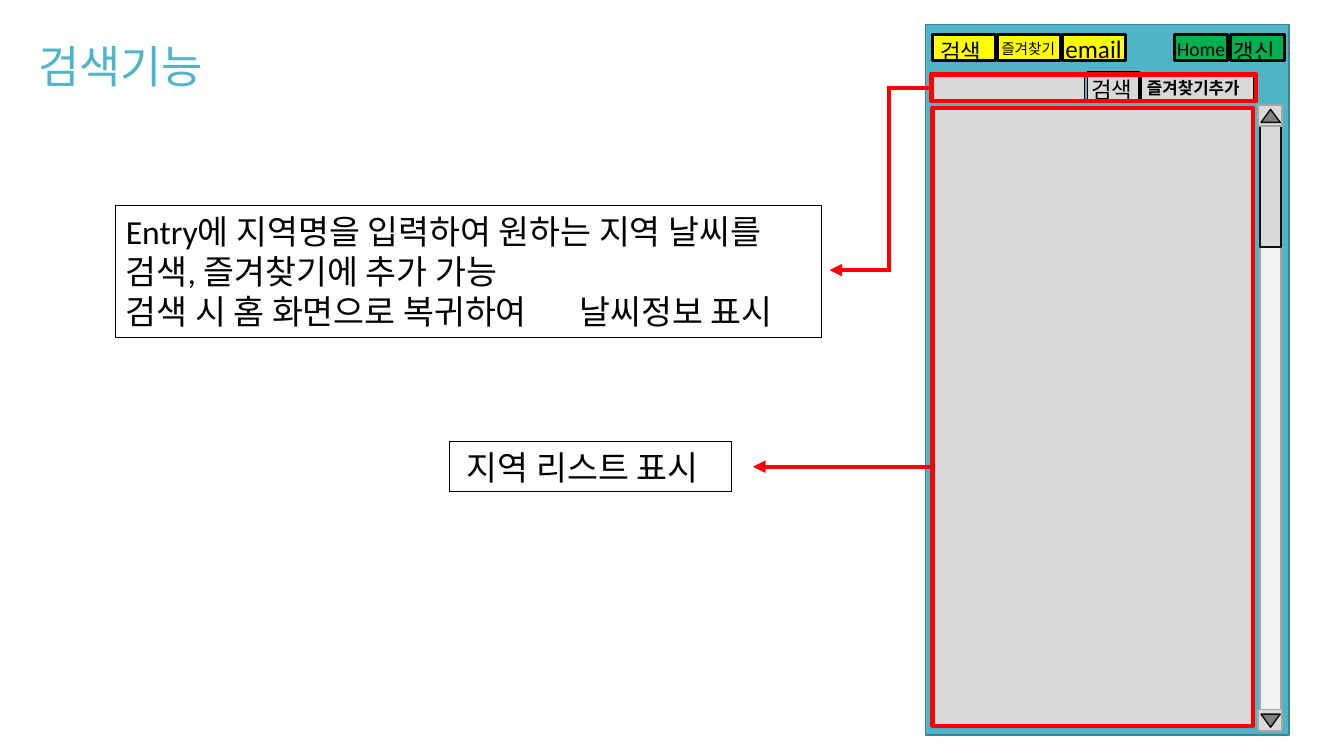
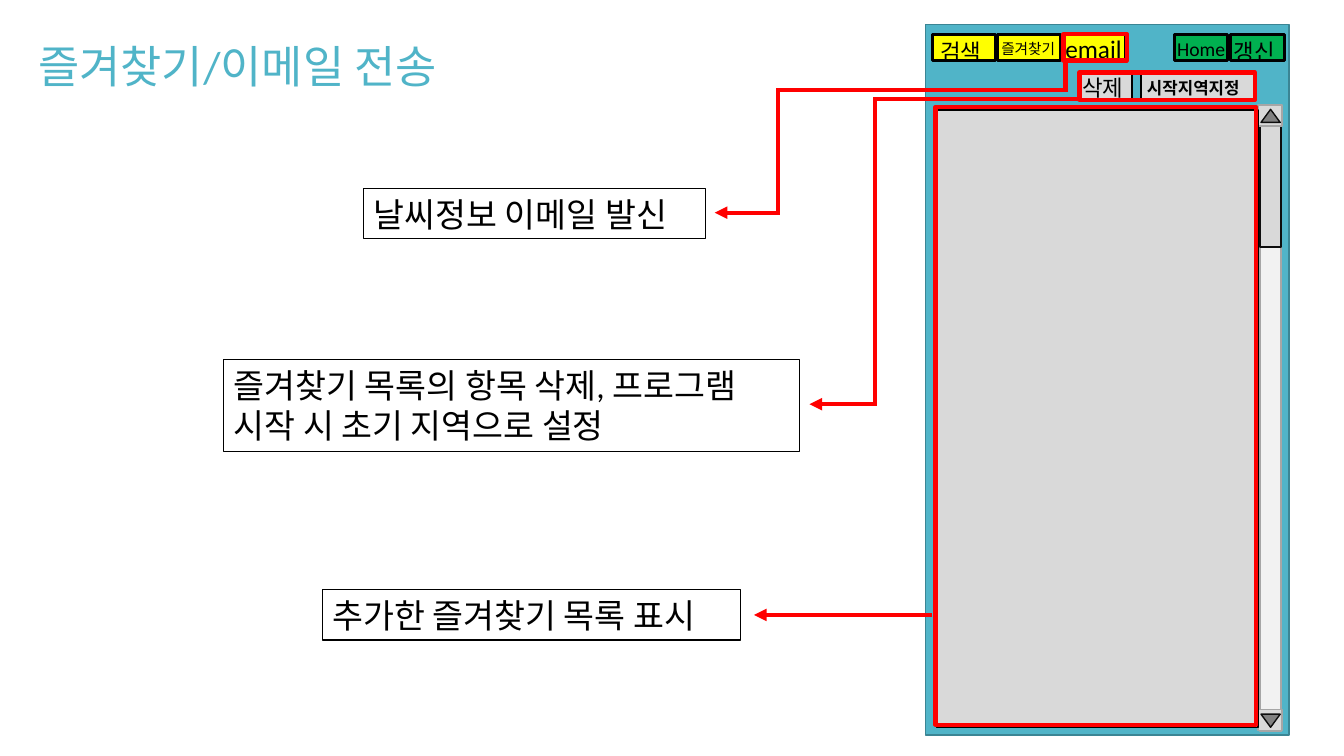
from dataclasses import dataclass
from itertools import pairwise

from lxml import etree
from pptx import Presentation
from pptx.dml.color import RGBColor
from pptx.enum.shapes import MSO_CONNECTOR, MSO_SHAPE
from pptx.enum.text import MSO_ANCHOR, MSO_AUTO_SIZE, PP_ALIGN
from pptx.oxml.ns import qn
from pptx.util import Inches, Pt

RECTANGLE, TRIANGLE = MSO_SHAPE.RECTANGLE, MSO_SHAPE.ISOSCELES_TRIANGLE
STRAIGHT = MSO_CONNECTOR.STRAIGHT
TOP, LEFT, NO_FIT = MSO_ANCHOR.TOP, PP_ALIGN.LEFT, MSO_AUTO_SIZE.NONE
TITLE_ONLY = 5
LEFT_SIDE = 1

FONT = "Calibri"
TEAL, DARK_TEAL = "50B4C8", "3B8594"
BLACK, NEAR_BLACK = "000000", "0D0D0D"
PALE, LIGHT, SILVER, GRAY = "F2F2F2", "D9D9D9", "A6A6A6", "808080"
YELLOW, GREEN, RED = "FFFF00", "00B050", "FF0000"


# The page grid has ten columns and ten rows to the inch
def cells(count):
    return Inches(count / 10)


@dataclass
class Box:
    left: float
    top: float
    width: float
    height: float

    def inner(self, column, row, width, height):
        return Box(self.left + column, self.top + row, width, height)

    def place(self):
        return [cells(n) for n in (self.left, self.top, self.width, self.height)]


PAGE = Box(0, 0, 133.33, 75)
PHONE = PAGE.inner(91.8, 2.4, 36.1, 70.5)


# Shared drawing helpers
def color(hex_code):
    return RGBColor.from_string(hex_code)


def write(shape, text, size=24, ink=BLACK, bold=False):
    frame = shape.text_frame
    frame.word_wrap = True
    frame.auto_size = NO_FIT
    frame.vertical_anchor = TOP
    for index, line in enumerate(text.split("\n")):
        para = frame.add_paragraph() if index else frame.paragraphs[0]
        para.alignment = LEFT
        span = para.add_run()
        span.text = line
        span.font.name, span.font.size = FONT, Pt(size)
        span.font.bold = bold
        span.font.color.rgb = color(ink)


def draw(page, box, fill=None, line=BLACK, weight=1, kind=RECTANGLE):
    shape = page.shapes.add_shape(kind, *box.place())
    shape.shadow.inherit = False
    if fill:
        shape.fill.solid()
        shape.fill.fore_color.rgb = color(fill)
    else:
        shape.fill.background()
    shape.line.color.rgb = color(line)
    shape.line.width = Pt(weight)
    return shape


def highlight(page, box):
    return draw(page, box, line=RED, weight=3)


def route(page, *points, source=None):
    """Join the points with red lines; the last one ends in an arrowhead."""
    for start, end in pairwise(points):
        line = page.shapes.add_connector(STRAIGHT, *map(cells, start + end))
        line.line.color.rgb = color(RED)
        line.line.width = Pt(3)
        properties = line.element.spPr
        outline = properties.find(qn("a:ln"))
        if end == points[-1]:
            etree.SubElement(outline, qn("a:tailEnd"), type="triangle")
        else:
            outline.set("cap", "sq")
        etree.SubElement(properties, qn("a:effectLst"))
        if source is not None and start == points[0]:
            line.begin_connect(source, LEFT_SIDE)


def button(page, box, text, shift, size, fill=LIGHT, weight=1, bold=False):
    draw(page, box, fill, weight=weight)
    label = box.inner(*shift, box.width + 2.6, box.height + 1)
    write(page.shapes.add_textbox(*label.place()), text, size=size, bold=bold)


# Regions of the phone screen
def scroll_bar(page, box):
    draw(page, box.inner(0.2, 0.1, 2.1, box.height), PALE, SILVER)
    draw(page, box.inner(0.2, 2.1, 2.1, 12), LIGHT, NEAR_BLACK)
    for row, turn in ((0, 0), (60, 180)):
        end = box.inner(0, row, box.width, 2.1)
        draw(page, end, LIGHT, SILVER)
        arrow = draw(page, end.inner(0.3, 0.45, 1.9, 1.3), GRAY, NEAR_BLACK, kind=TRIANGLE)
        arrow.rotation = turn


def menu(page, box):
    tabs = (
        ("검색", (-0.2, -0.1), 16),
        ("즐겨찾기", (-0.6, 0.1), 10.5),
        ("email", (-0.7, -0.6), 18),
    )
    for index, (text, shift, size) in enumerate(tabs):
        tab = box.inner(0.7 + 6.45 * index, 0, 6.3, 2.6)
        button(page, tab, text, shift, size, YELLOW, 2.25)
    commands = (("Home", (-0.7, -0.3), 14), ("갱신", (-0.7, -0.2), 16))
    for index, (text, shift, size) in enumerate(commands):
        command = box.inner(24.7 + 5.6 * index, 0.05, 5.3, 2.6)
        button(page, command, text, shift, size, GREEN, 2.25)


def phone(page, box):
    draw(page, box, TEAL, DARK_TEAL)
    scroll_bar(page, box.inner(33, 8, 2.4, 62.1))
    menu(page, box.inner(0, 1, box.width, 2.6))


def place_list(page, box, panel, frame):
    draw(page, box.inner(*panel, 31.9, 61.3), LIGHT)
    highlight(page, box.inner(*frame, 31.8, 61.3))


def wide_button(page, box, text):
    button(page, box.inner(21.4, 4.8, 11.2, 2.8), text, (-0.4, 0), 12, bold=True)


def callout(page, box, text):
    write(draw(page, box, weight=0.75), text)


def start_page(deck, title, title_width):
    page = deck.slides.add_slide(deck.slide_layouts[TITLE_ONLY])
    heading = page.shapes.title
    box = PAGE.inner(2.8, 3.3, title_width, 6.4)
    heading.left, heading.top, heading.width, heading.height = box.place()
    write(heading, title, size=32, ink=TEAL)
    phone(page, PHONE)
    return page


# Slides
def search_page(deck):
    page = start_page(deck, "검색기능", 22.9)
    place_list(page, PHONE, (0.6, 8.2), (0.7, 8.3))

    # Search row
    draw(page, PHONE.inner(0.5, 4.8, 15.3, 2.8), LIGHT)
    button(page, PHONE.inner(16.1, 4.7, 5.1, 2.8), "검색", (-0.6, 0), 16)
    wide_button(page, PHONE, "즐겨찾기추가")
    search_row = highlight(page, PHONE.inner(0.6, 5, 32.2, 2.6))

    # Explanations
    callout(page, PAGE.inner(44.6, 43.8, 28, 5), " 지역 리스트 표시")
    callout(
        page,
        PAGE.inner(11.5, 20.4, 70, 13.1),
        "Entry에 지역명을 입력하여 원하는 지역 날씨를 검색, 즐겨찾기에 추가 가능\n"
        "검색 시 홈 화면으로 복귀하여 \t날씨정보 표시",
    )
    route(page, (92.4, 8.7), (88.2, 8.7), (88.2, 26.8), (82.3, 26.8), source=search_row)
    route(page, (92.4, 46.3), (74.7, 46.3))


def favorites_page(deck):
    page = start_page(deck, "즐겨찾기/이메일 전송", 44.7)
    place_list(page, PHONE, (1.1, 8.5), (1, 8.2))

    # Favorites row and mail tab
    button(page, PHONE.inner(15.4, 4.7, 5.1, 2.8), "삭제", (-0.8, -0.2), 16)
    wide_button(page, PHONE, "시작지역지정")
    highlight(page, PHONE.inner(15.3, 4.8, 17.4, 2.7))
    highlight(page, PHONE.inner(13.7, 1, 6.3, 2.6))

    # Explanations
    callout(page, PAGE.inner(36.1, 18.7, 33.9, 5), "날씨정보 이메일 발신")
    callout(
        page,
        PAGE.inner(22.2, 35.7, 57.1, 9.1),
        "즐겨찾기 목록의 항목 삭제, 프로그램 시작 시 초기 지역으로 설정",
    )
    callout(page, PAGE.inner(32, 58.5, 41.5, 5), "추가한 즐겨찾기 목록 표시")
    route(page, (105.7, 6.3), (105.7, 8.9), (77.2, 8.9), (77.2, 21.1), (70.9, 21.1))
    route(page, (106.9, 9.8), (86.8, 9.8), (86.8, 40.1), (80.3, 40.1))
    route(page, (92.5, 61), (74.8, 61))


def main():
    deck = Presentation()
    deck.slide_width, deck.slide_height = cells(PAGE.width), cells(PAGE.height)
    search_page(deck)
    favorites_page(deck)
    deck.save("out.pptx")


if __name__ == "__main__":
    main()
